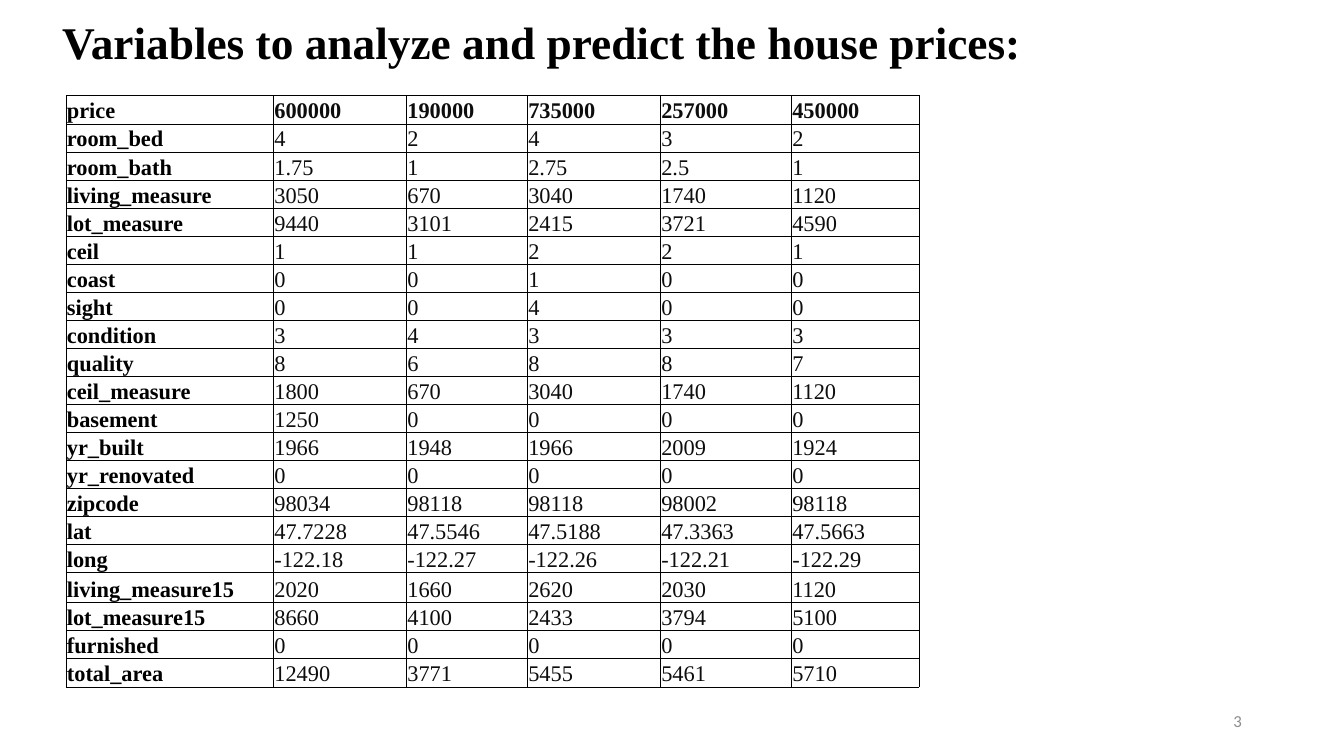
from dataclasses import dataclass

from lxml.etree import SubElement
from pptx import Presentation
from pptx.dml.color import RGBColor
from pptx.enum.text import MSO_ANCHOR as Anchor, PP_ALIGN as Align
from pptx.oxml.ns import qn
from pptx.util import Pt

BLACK = RGBColor(0x00, 0x00, 0x00)
INK = RGBColor(0x0D, 0x0D, 0x0D)
GREY = RGBColor(0x8C, 0x8C, 0x8C)
WHITE = RGBColor(0xFF, 0xFF, 0xFF)
SERIF, SANS = "Times New Roman", "Calibri"


@dataclass(frozen=True)
class Style:
    size: float
    color: RGBColor
    bold: bool = False
    face: str = SERIF


@dataclass(frozen=True)
class Label:
    text: str
    left: float
    top: float
    width: float
    height: float
    style: Style
    align: Align = Align.LEFT
    spacing: float = 1.0
    bottom_inset: float = 3.6


@dataclass(frozen=True)
class Variable:
    name: str
    values: str  # one value per house


LABELS = (
    Label("Variables to analyze and predict the house prices:", 37.4, 10.8, 856.8, 51.1,
          Style(32.4, BLACK, True), spacing=0.9, bottom_inset=12),
    Label("3", 678.2, 500.4, 216, 28.8, Style(12, GREY, face=SANS), Align.RIGHT),
)

VARIABLES = (
    Variable("price", "600000 190000 735000 257000 450000"),
    Variable("room_bed", "4 2 4 3 2"),
    Variable("room_bath", "1.75 1 2.75 2.5 1"),
    Variable("living_measure", "3050 670 3040 1740 1120"),
    Variable("lot_measure", "9440 3101 2415 3721 4590"),
    Variable("ceil", "1 1 2 2 1"),
    Variable("coast", "0 0 1 0 0"),
    Variable("sight", "0 0 4 0 0"),
    Variable("condition", "3 4 3 3 3"),
    Variable("quality", "8 6 8 8 7"),
    Variable("ceil_measure", "1800 670 3040 1740 1120"),
    Variable("basement", "1250 0 0 0 0"),
    Variable("yr_built", "1966 1948 1966 2009 1924"),
    Variable("yr_renovated", "0 0 0 0 0"),
    Variable("zipcode", "98034 98118 98118 98002 98118"),
    Variable("lat", "47.7228 47.5546 47.5188 47.3363 47.5663"),
    Variable("long", "-122.18 -122.27 -122.26 -122.21 -122.29"),
    Variable("living_measure15", "2020 1660 2620 2030 1120"),
    Variable("lot_measure15", "8660 4100 2433 3794 5100"),
    Variable("furnished", "0 0 0 0 0"),
    Variable("total_area", "12490 3771 5455 5461 5710"),
)
COLUMN_WIDTHS = (148.2, 95, 86.4, 95, 93.6, 91)
ROW_HEIGHT = 20.06
TALL_ROWS = {"living_measure15": 21.4}


def write(paragraph, text: str, style: Style) -> None:
    paragraph.text = text
    font = paragraph.font
    font.name, font.size, font.bold = style.face, Pt(style.size), style.bold
    font.color.rgb = style.color


def add_label(slide, label: Label) -> None:
    frame = slide.shapes.add_textbox(
        Pt(label.left), Pt(label.top), Pt(label.width), Pt(label.height)).text_frame
    frame.word_wrap = True
    frame.vertical_anchor = Anchor.MIDDLE
    frame.margin_bottom = Pt(label.bottom_inset)
    paragraph = frame.paragraphs[0]
    paragraph.alignment = label.align
    paragraph.line_spacing = label.spacing
    write(paragraph, label.text, label.style)


def add_borders(cell) -> None:
    properties = cell._tc.get_or_add_tcPr()
    for side in ("a:lnL", "a:lnR", "a:lnT", "a:lnB"):
        line = SubElement(properties, qn(side), w=str(Pt(0.5)))
        fill = SubElement(line, qn("a:solidFill"))
        SubElement(fill, qn("a:srgbClr"), val=str(BLACK))


def fill_cell(cell, text: str, style: Style, is_name: bool) -> None:
    cell.vertical_anchor = Anchor.BOTTOM
    cell.margin_left = cell.margin_right = cell.margin_top = Pt(0.6)
    cell.margin_bottom = 0
    add_borders(cell)
    if is_name:
        cell.fill.background()
    else:
        cell.fill.solid()
        cell.fill.fore_color.rgb = WHITE
    write(cell.text_frame.paragraphs[0], text, style)


def add_variable_table(slide) -> None:
    heights = [TALL_ROWS.get(variable.name, ROW_HEIGHT) for variable in VARIABLES]
    table = slide.shapes.add_table(
        len(VARIABLES), len(COLUMN_WIDTHS), Pt(47.2), Pt(68.4),
        Pt(sum(COLUMN_WIDTHS)), Pt(sum(heights))).table
    table.first_row = table.horz_banding = False
    for column, width in zip(table.columns, COLUMN_WIDTHS):
        column.width = Pt(width)
    for row, height, variable in zip(table.rows, heights, VARIABLES):
        row.height = Pt(height)
        texts = (variable.name, *variable.values.split())
        for index, (cell, text) in enumerate(zip(row.cells, texts)):
            is_name = index == 0
            bold = is_name or variable.name == "price"
            fill_cell(cell, text, Style(16, BLACK if is_name else INK, bold), is_name)


def main() -> None:
    deck = Presentation()
    deck.slide_width, deck.slide_height = Pt(960), Pt(540)
    slide = deck.slides.add_slide(deck.slide_layouts[6])

    # Title and page number
    for label in LABELS:
        add_label(slide, label)

    # Variables by house
    add_variable_table(slide)
    deck.save("out.pptx")


if __name__ == "__main__":
    main()
